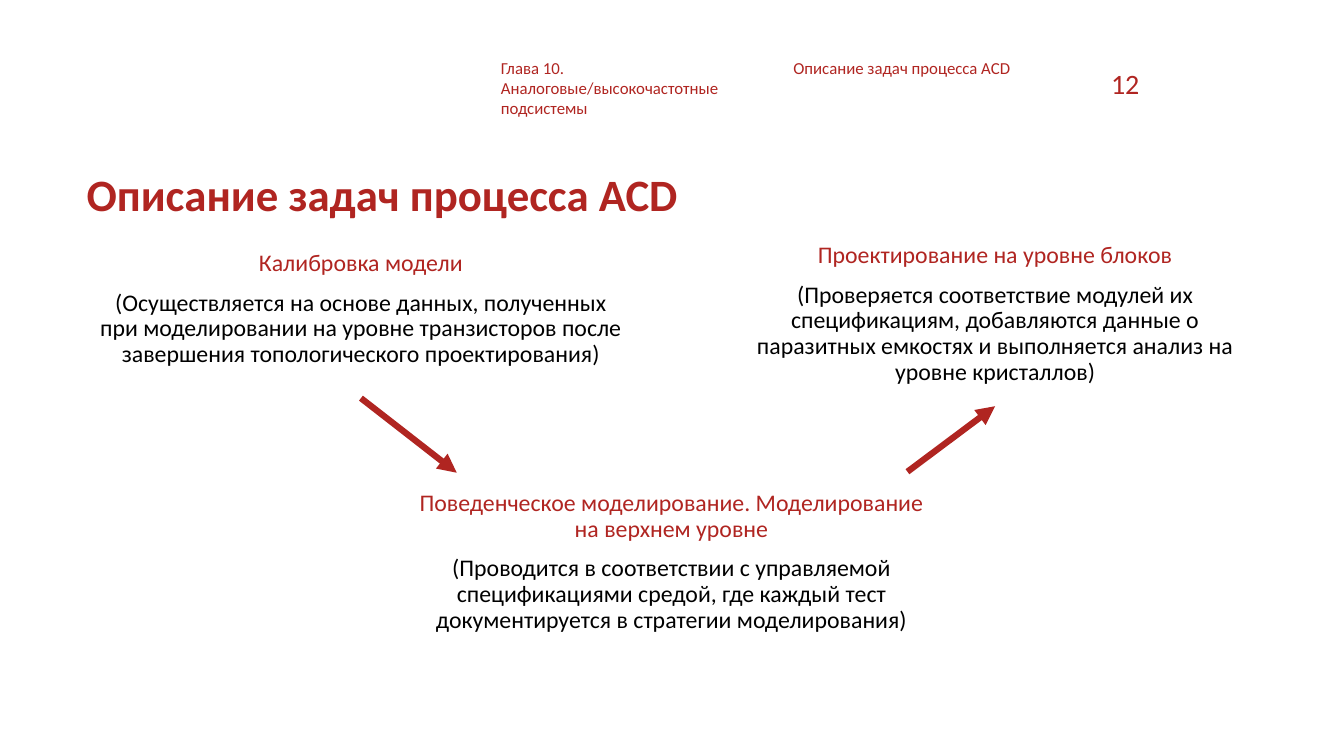
import pptx
import pptx.dml.color
import pptx.enum.shapes
import pptx.enum.text
import pptx.oxml
import pptx.oxml.ns
import pptx.util
from pptx.util import Inches

RED = pptx.dml.color.RGBColor(0xB0, 0x25, 0x21)
BLACK = pptx.dml.color.RGBColor(0, 0, 0)
ALIGN = pptx.enum.text.PP_ALIGN
ANCHOR = pptx.enum.text.MSO_ANCHOR


class Deck:
    """Slide style and the elements drawn with it."""

    font = "Calibri"

    def __init__(self):
        self.prs = pptx.Presentation()
        self.prs.slide_width = Inches(13.33)
        self.prs.slide_height = Inches(7.5)
        self.s = self.prs.slides.add_slide(self.prs.slide_layouts[6])

    def frame(self, box, anchor=ANCHOR.TOP):
        tb = self.s.shapes.add_textbox(*map(Inches, box))
        tf = tb.text_frame
        tf.word_wrap = True
        tf.vertical_anchor = anchor
        return tf

    def fill_paragraph(self, p, text, size, color=RED, align=ALIGN.LEFT,
                       spacing=1.0):
        p.text = text
        p.alignment = align
        p.line_spacing = spacing
        p.font.name = self.font
        p.font.size = pptx.util.Pt(size)
        p.font.color.rgb = color

    def label(self, box, text, size, align=ALIGN.LEFT, anchor=ANCHOR.TOP):
        tf = self.frame(box, anchor)
        self.fill_paragraph(tf.paragraphs[0], text, size, align=align)

    def title(self, box, text):
        p = self.frame(box, ANCHOR.MIDDLE).paragraphs[0]
        self.fill_paragraph(p, text, 32, spacing=0.9)
        p.font.bold = True

    def task(self, box, name, detail):
        tf = self.frame(box)
        self.fill_paragraph(tf.paragraphs[0], name, 17, RED, ALIGN.CENTER, 0.9)
        p = tf.add_paragraph()
        self.fill_paragraph(p, detail, 17, BLACK, ALIGN.CENTER, 0.9)
        p.space_before = pptx.util.Pt(10)

    def arrow(self, start, end):
        c = self.s.shapes.add_connector(
            pptx.enum.shapes.MSO_CONNECTOR.STRAIGHT, *map(Inches, start + end))
        c.line.color.rgb = RED
        c.line.width = pptx.util.Pt(4.5)
        ns = pptx.oxml.ns.nsdecls("a")
        spPr = c._element.spPr
        spPr.find(pptx.oxml.ns.qn("a:ln")).append(
            pptx.oxml.parse_xml(f'<a:tailEnd {ns} type="triangle"/>'))
        spPr.append(pptx.oxml.parse_xml(f'<a:effectLst {ns}/>'))


def main():
    deck = Deck()
    deck.title((0.76, 1.48, 7.28, 0.95), "Описание задач процесса ACD")
    deck.label((4.87, 0.52, 2.63, 0.71),
               "Глава 10. Аналоговые/высокочастотные подсистемы", 12)
    deck.label((7.77, 0.52, 2.63, 0.3), "Описание задач процесса ACD", 12)
    deck.label((10.91, 0.63, 0.49, 0.4), "12", 20, ALIGN.RIGHT, ANCHOR.MIDDLE)

    deck.task((0.86, 2.44, 5.44, 1.51), "Калибровка модели",
              "(Осуществляется на основе данных, полученных при моделировании "
              "на уровне транзисторов после завершения топологического "
              "проектирования)")
    deck.task((3.94, 4.82, 5.44, 1.67),
              "Поведенческое моделирование. Моделирование на верхнем уровне",
              "(Проводится в соответствии с управляемой спецификациями средой, "
              "где каждый тест документируется в стратегии моделирования)")
    deck.task((7.15, 2.36, 5.44, 1.67), "Проектирование на уровне блоков",
              "(Проверяется соответствие модулей их спецификациям, добавляются "
              "данные о паразитных емкостях и выполняется анализ на уровне "
              "кристаллов)")

    deck.arrow((3.58, 3.95), (4.53, 4.69))
    deck.arrow((9, 4.68), (9.87, 4.03))
    deck.prs.save("out.pptx")


if __name__ == "__main__":
    main()
